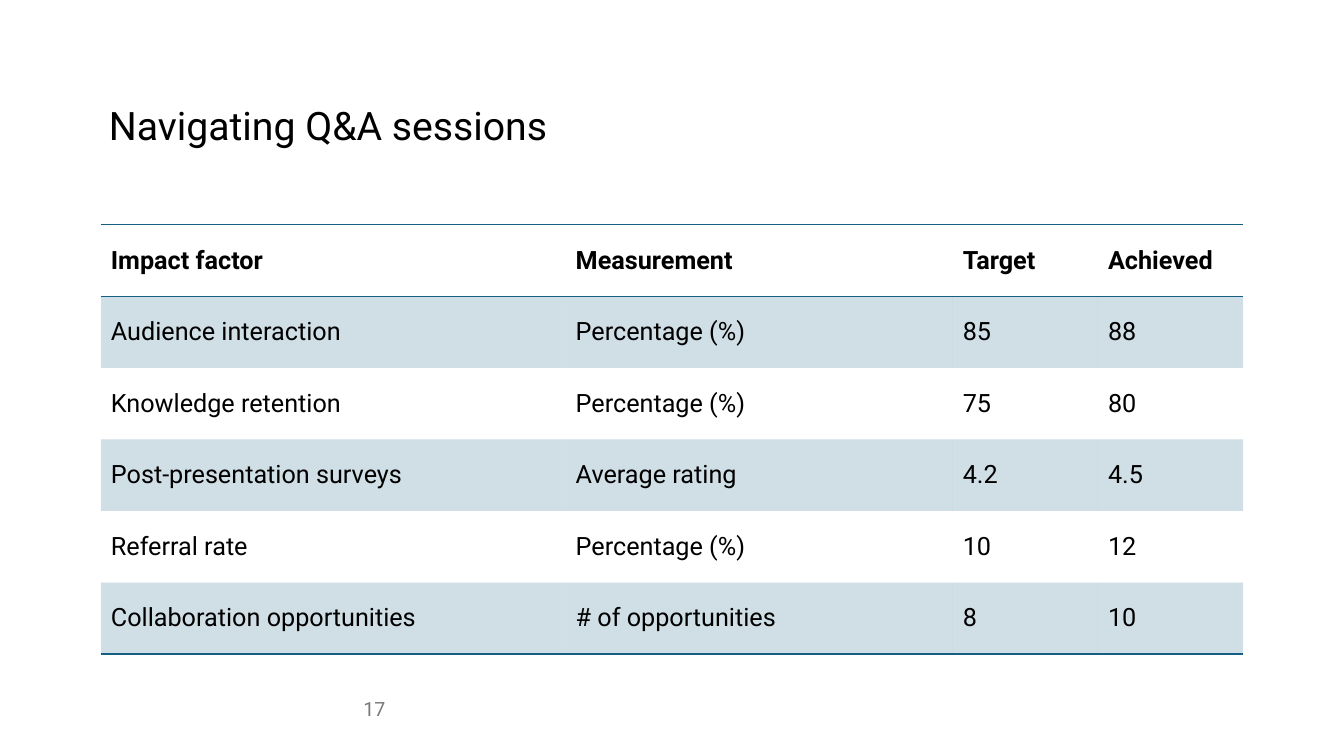
from lxml import etree
from pptx import Presentation
from pptx.dml.color import RGBColor
from pptx.enum.text import MSO_ANCHOR, PP_ALIGN
from pptx.oxml.ns import qn

MIDDLE, BOTTOM = MSO_ANCHOR.MIDDLE, MSO_ANCHOR.BOTTOM
LEFT, RIGHT = PP_ALIGN.LEFT, PP_ALIGN.RIGHT
PX = 9144  # 100 px to the inch
NO_GRID_STYLE = "{2D5ABB26-0587-4C30-8999-92F81FD0307C}"

THEME = {
    "font": "Roboto",
    "ink": "000000",
    "muted": "797979",
    "accent": "156082",
    "band_alpha": "20000",
    "title": 28,
    "body": 18,
    "number": 14,
}


def write(frame, text, size="body", color="ink", bold=False, align=LEFT,
          anchor=MIDDLE, spacing=1.0):
    frame.word_wrap = True
    frame.vertical_anchor = anchor
    para = frame.paragraphs[0]
    para.alignment = align
    para.line_spacing = spacing
    span = para.add_run()
    span.text = text
    span.font.name = THEME["font"]
    span.font.size = THEME[size] * 12700
    span.font.bold = bold
    span.font.color.rgb = RGBColor.from_string(THEME[color])


def add_rule(cell, side):
    line = etree.SubElement(cell._tc.get_or_add_tcPr(), qn("a:" + side), w="12700")
    fill = etree.SubElement(line, qn("a:solidFill"))
    etree.SubElement(fill, qn("a:srgbClr"), val=THEME["accent"])


deck = Presentation()
deck.slide_width, deck.slide_height = 1333 * PX, 750 * PX
page = deck.slides.add_slide(deck.slide_layouts[5])

# Title
title = page.shapes.title
title.left, title.top, title.width, title.height = 98 * PX, 8 * PX, 1138 * PX, 145 * PX
write(title.text_frame, "Navigating Q&A sessions", size="title", anchor=BOTTOM, spacing=0.9)

# Impact table
rows = [
    ("Impact factor", "Measurement", "Target", "Achieved"),
    ("Audience interaction", "Percentage (%)", "85", "88"),
    ("Knowledge retention", "Percentage (%)", "75", "80"),
    ("Post-presentation surveys", "Average rating", "4.2", "4.5"),
    ("Referral rate", "Percentage (%)", "10", "12"),
    ("Collaboration opportunities", "# of opportunities", "8", "10"),
]
column_widths = [461, 384, 144, 144]
row_height = 71
last = len(rows) - 1

frame = page.shapes.add_table(len(rows), len(column_widths), 100 * PX, 223 * PX,
                              sum(column_widths) * PX, row_height * len(rows) * PX)
table = frame.table
table._tbl.tblPr.find(qn("a:tableStyleId")).text = NO_GRID_STYLE
for column, width in zip(table.columns, column_widths):
    column.width = width * PX

for r, values in enumerate(rows):
    table.rows[r].height = row_height * PX
    for c, value in enumerate(values):
        cell = table.cell(r, c)
        write(cell.text_frame, value, bold=r == 0)
        cell.vertical_anchor = MIDDLE
        # Rules above and below the header, and under the last row
        if r == 0:
            add_rule(cell, "lnT")
        if r in (0, last):
            add_rule(cell, "lnB")
        # Tinted bands on odd rows
        if r % 2:
            cell.fill.solid()
            cell.fill.fore_color.rgb = RGBColor.from_string(THEME["accent"])
            tint = cell._tc.tcPr.find(qn("a:solidFill")).find(qn("a:srgbClr"))
            etree.SubElement(tint, qn("a:alpha"), val=THEME["band_alpha"])
        else:
            cell.fill.background()

# Page number
number_box = page.shapes.add_textbox(100 * PX, 683 * PX, 292 * PX, 40 * PX)
write(number_box.text_frame, "17", size="number", color="muted", align=RIGHT)

deck.save("out.pptx")
